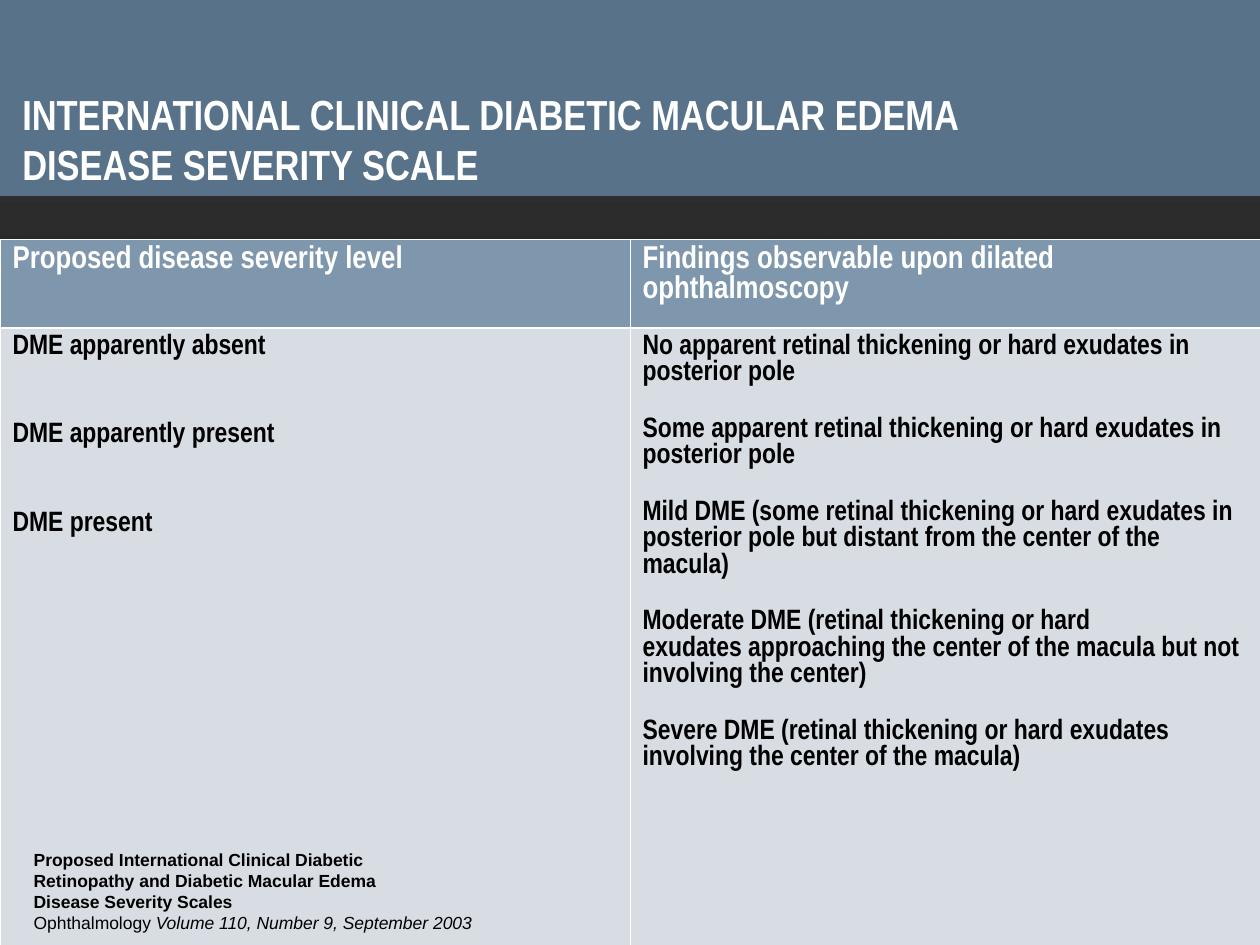
from dataclasses import dataclass

from lxml import etree
from pptx import Presentation
from pptx import util as u
from pptx.dml.color import RGBColor
from pptx.enum import text
from pptx.oxml import ns

WHITE = RGBColor(0xFF, 0xFF, 0xFF)
BLACK = RGBColor(0, 0, 0)
CHARCOAL = RGBColor(0x38, 0x38, 0x38)
TITLE_BLUE = RGBColor(0x57, 0x72, 0x89)
HEADER_BLUE = RGBColor(0x7E, 0x97, 0xAD)
BODY_GREY = RGBColor(0xD8, 0xDD, 0xE3)

NARROW, PLAIN = "Arial Narrow", "Arial"
THIN, THICK = 0.45, 1.47  # cell border widths in points
LEVEL_GAP, FINDING_GAP = 35.4, 17.4  # points between entries


@dataclass(frozen=True)
class Line:
    words: str
    gap: float = 0


@dataclass(frozen=True)
class Row:
    height: u.Cm
    fill: RGBColor
    color: RGBColor
    size: float
    top: float
    bottom: float
    cells: tuple[tuple[Line, ...], ...]


ROWS = (
    Row(u.Cm(1.78), HEADER_BLUE, WHITE, 18, THIN, THICK, (
        (Line("Proposed disease severity level"),),
        (Line("Findings observable upon dilated"), Line("ophthalmoscopy")),
    )),
    Row(u.Cm(12.62), BODY_GREY, BLACK, 16, THICK, THIN, (
        (
            Line("DME apparently absent"),
            Line("DME apparently present", LEVEL_GAP),
            Line("DME present", LEVEL_GAP),
        ),
        (
            Line("No apparent retinal thickening or hard exudates in posterior pole"),
            Line("Some apparent retinal thickening or hard exudates in posterior pole",
                 FINDING_GAP),
            Line("Mild DME (some retinal thickening or hard exudates in posterior pole "
                 "but distant from the center of the macula)", FINDING_GAP),
            Line("Moderate DME (retinal thickening or hard", FINDING_GAP),
            Line("exudates approaching the center of the macula but not involving "
                 "the center)"),
            Line("Severe DME (retinal thickening or hard exudates involving the center "
                 "of the macula)", FINDING_GAP),
        ),
    )),
)

SOURCE_TITLE = (
    "Proposed International Clinical Diabetic",
    "Retinopathy and Diabetic Macular Edema",
    "Disease Severity Scales",
)


def add_para(frame, first: bool, gap: float = 0):
    """Return the frame's first paragraph, or a new one after it."""
    para = frame.paragraphs[0] if first else frame.add_paragraph()
    para.alignment = text.PP_ALIGN.LEFT
    para.line_spacing = 1.0
    para.space_before = u.Pt(gap)
    return para


def add_span(para, words: str, *, font: str, size: float, color: RGBColor,
             bold: bool = True, italic: bool = False) -> None:
    span = para.add_run()
    span.text = words
    span.font.name = font
    span.font.size = u.Pt(size)
    span.font.color.rgb = color
    span.font.bold = bold
    span.font.italic = italic


def set_borders(cell, top: float, bottom: float) -> None:
    properties = cell._tc.get_or_add_tcPr()
    for side, width in (("L", THIN), ("R", THIN), ("T", top), ("B", bottom)):
        line = etree.SubElement(properties, ns.qn(f"a:ln{side}"), w=str(u.Pt(width)))
        fill = etree.SubElement(line, ns.qn("a:solidFill"))
        etree.SubElement(fill, ns.qn("a:srgbClr"), val=str(WHITE))


def paint_background(page) -> None:
    fill = page.background.fill
    fill.gradient()
    fill.gradient_angle = 270
    for stop, color in zip(fill.gradient_stops, (CHARCOAL, BLACK)):
        stop.color.rgb = color


def add_title(page) -> None:
    title = page.shapes.title
    title.left, title.top, title.width, title.height = (
        u.Cm(0), u.Cm(0), u.Cm(25.4), u.Cm(3.94))
    title.fill.solid()
    title.fill.fore_color.rgb = TITLE_BLUE
    title.line.color.rgb = TITLE_BLUE
    title.line.width = u.Pt(0.75)
    frame = title.text_frame
    frame.auto_size = text.MSO_AUTO_SIZE.NONE
    frame.vertical_anchor = text.MSO_ANCHOR.BOTTOM
    frame.margin_left = u.Cm(0.45)
    for index, words in enumerate(("INTERNATIONAL CLINICAL DIABETIC MACULAR EDEMA",
                                   "DISEASE SEVERITY SCALE")):
        para = add_para(frame, index == 0)
        add_span(para, words, font=NARROW, size=24, color=WHITE)


def add_scale_table(page) -> None:
    height = sum(row.height for row in ROWS)
    table = page.shapes.add_table(len(ROWS), 2, u.Cm(0), u.Cm(4.83),
                                  u.Cm(25.4), height).table
    table.horz_banding = False
    for row_index, row in enumerate(ROWS):
        table.rows[row_index].height = row.height
        for column, lines in enumerate(row.cells):
            cell = table.cell(row_index, column)
            set_borders(cell, row.top, row.bottom)
            cell.fill.solid()
            cell.fill.fore_color.rgb = row.fill
            for index, line in enumerate(lines):
                para = add_para(cell.text_frame, index == 0, line.gap)
                add_span(para, line.words, font=NARROW, size=row.size, color=row.color)


def add_source(page) -> None:
    box = page.shapes.add_textbox(u.Cm(0.43), u.Cm(16.99), u.Cm(18.62), u.Cm(2.05))
    frame = box.text_frame
    frame.word_wrap = True
    style = dict(font=PLAIN, size=10, color=BLACK)
    for index, words in enumerate(SOURCE_TITLE):
        add_span(add_para(frame, index == 0), words, **style)
    para = add_para(frame, False)
    add_span(para, "Ophthalmology ", bold=False, **style)
    add_span(para, "Volume 110, Number 9, September 2003", bold=False, italic=True,
             **style)


def main() -> None:
    deck = Presentation()
    deck.slide_width, deck.slide_height = u.Cm(25.4), u.Cm(19.05)
    page = deck.slides.add_slide(deck.slide_layouts[5])
    paint_background(page)
    add_title(page)
    add_scale_table(page)
    add_source(page)
    deck.save("out.pptx")


if __name__ == "__main__":
    main()
